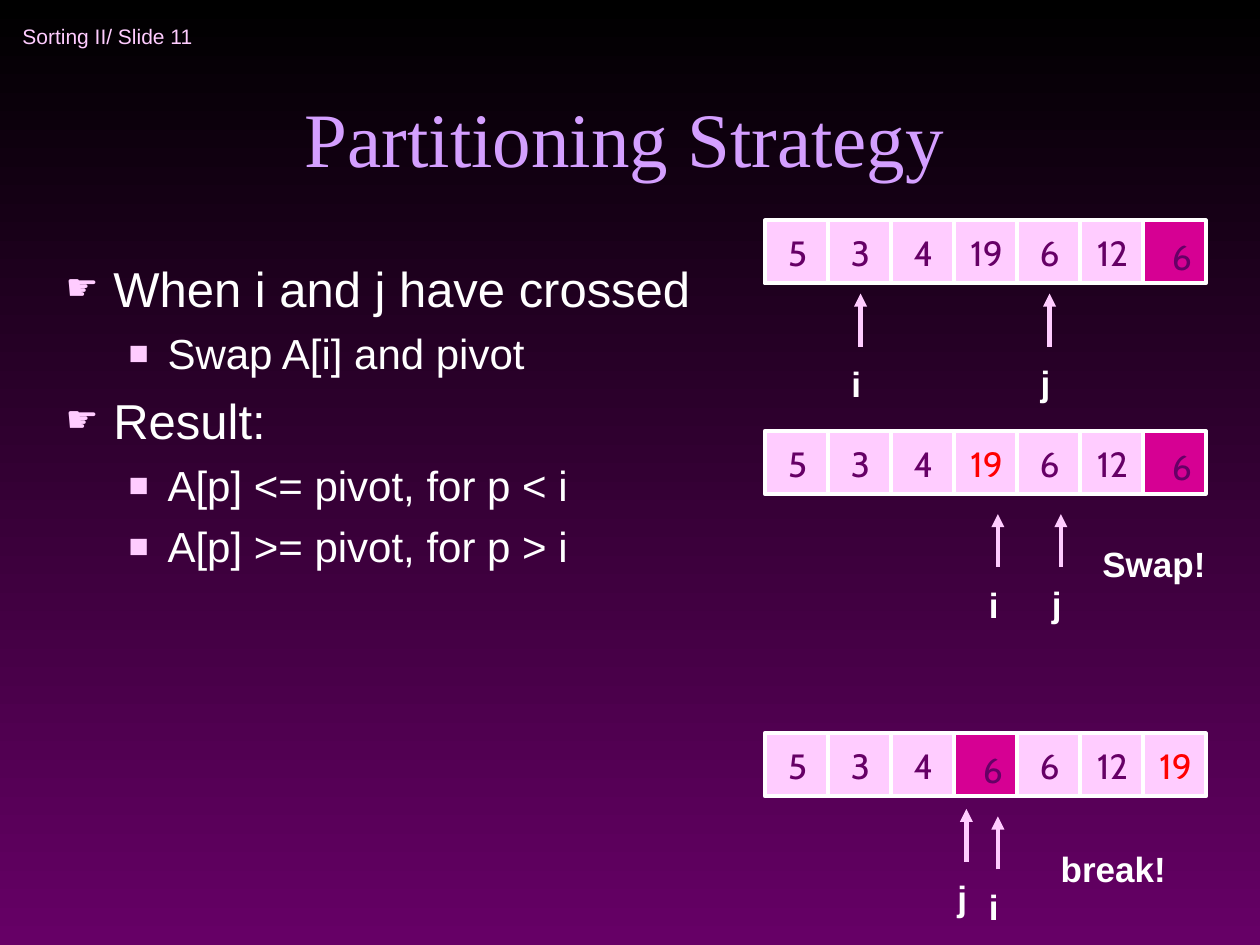
import pptx
import pptx.dml.color
import pptx.enum.shapes
import pptx.enum.text
import pptx.oxml
import pptx.oxml.ns
import pptx.util

Inches = pptx.util.Inches
Pt = pptx.util.Pt
ALIGN = pptx.enum.text.PP_ALIGN
ANCHOR = pptx.enum.text.MSO_ANCHOR
FIT = pptx.enum.text.MSO_AUTO_SIZE

PINK, MAGENTA, PURPLE = "FFCCFF", "D60093", "660066"
LILAC, WHITE, RED, BLACK = "D49FFF", "FFFFFF", "FF0000", "000000"
CELL = 0.5
ARROW = 0.42
ARRAY_LEFT = 6.07

OUTLINE = [
    (0, "When i and j have crossed"),
    (1, "Swap A[i] and pivot"),
    (0, "Result:"),
    (1, "A[p] <= pivot, for p < i"),
    (1, "A[p] >= pivot, for p > i"),
]
LEVELS = [
    {"size": 28, "before": 7, "margin": 0.38, "hang": 0.38, "mark": "☛", "scale": 75},
    {"size": 24, "before": 6, "margin": 0.81, "hang": 0.31, "mark": "■", "scale": 80},
]
STEPS = [
    {"top": 1.75, "values": [5, 3, 4, 19, 6, 12, 6], "pivot": 6, "swapped": None,
     "pointers": [("i", 1.52, 0.58), ("j", 4.52, 0.58)], "note": None},
    {"top": 3.42, "values": [5, 3, 4, 19, 6, 12, 6], "pivot": 6, "swapped": 3,
     "pointers": [("i", 3.7, 0.66), ("j", 4.7, 0.66)], "note": ("Swap!", 8.65, 0.84)},
    {"top": 5.82, "values": [5, 3, 4, 6, 6, 12, 19], "pivot": 3, "swapped": 6,
     "pointers": [("i", 3.7, 0.66), ("j", 3.2, 0.6)], "note": ("break!", 8.32, 0.86)},
]


def colour(value):
    return pptx.dml.color.RGBColor.from_string(value)


def place(shape, box):
    shape.left, shape.top, shape.width, shape.height = map(Inches, box)


def write(paragraph, text, font, size, ink, bold=False, align=ALIGN.LEFT):
    paragraph.alignment = align
    run = paragraph.add_run()
    run.text = text
    run.font.name = font
    run.font.size = Pt(size)
    run.font.bold = bold
    run.font.color.rgb = colour(ink)


def label(slide, box, text, font, size, ink, wrap=False, anchor=ANCHOR.TOP, **style):
    frame = slide.shapes.add_textbox(*map(Inches, box)).text_frame
    frame.word_wrap = wrap
    frame.vertical_anchor = anchor
    write(frame.paragraphs[0], text, font, size, ink, **style)


def add_backdrop(slide):
    fill = slide.background.fill
    fill.gradient()
    fill.gradient_angle = 270
    for stop, position, shade in zip(fill.gradient_stops, (0, 1), (BLACK, PURPLE)):
        stop.position = position
        stop.color.rgb = colour(shade)


def add_heading(slide, box):
    heading = slide.shapes.title
    place(heading, box)
    frame = heading.text_frame
    frame.auto_size = FIT.NONE
    frame.vertical_anchor = ANCHOR.BOTTOM
    write(frame.paragraphs[0], "Partitioning Strategy", "Times New Roman", 44, LILAC,
          align=ALIGN.CENTER)


def add_bullet(paragraph, level):
    properties = paragraph._p.get_or_add_pPr()
    properties.set("marL", str(Inches(level["margin"])))
    properties.set("indent", str(-Inches(level["hang"])))
    namespace = pptx.oxml.ns.nsdecls("a")
    for markup in (
        f'<a:buClr {namespace}><a:srgbClr val="{PINK}"/></a:buClr>',
        f'<a:buSzPct {namespace} val="{level["scale"] * 1000}"/>',
        f'<a:buChar {namespace} char="{level["mark"]}"/>',
    ):
        properties.append(pptx.oxml.parse_xml(markup))


def add_outline(slide, box):
    outline = slide.placeholders[1]
    place(outline, box)
    frame = outline.text_frame
    frame.auto_size = FIT.NONE
    for number, (depth, text) in enumerate(OUTLINE):
        paragraph = frame.add_paragraph() if number else frame.paragraphs[0]
        level = LEVELS[depth]
        add_bullet(paragraph, level)
        paragraph.level = depth
        paragraph.space_before = Pt(level["before"] if number else 0)
        write(paragraph, text, "Arial", level["size"], WHITE)


def add_cell(slide, left, top, value, is_pivot, is_swapped):
    cell = slide.shapes.add_shape(
        pptx.enum.shapes.MSO_SHAPE.RECTANGLE, *map(Inches, (left, top, CELL, CELL)))
    cell.shadow.inherit = False
    cell.fill.solid()
    cell.fill.fore_color.rgb = colour(MAGENTA if is_pivot else PINK)
    cell.line.color.rgb = colour(WHITE)
    cell.line.width = Pt(2.25)
    width = 0.36 if value < 10 else 0.52
    shift, drop = (0.06, 0.07) if is_pivot else (0.01, 0.04)
    label(slide, (left + (CELL - width) / 2 + shift, top + drop, width, 0.44),
          str(value), "Cabin", 20, RED if is_swapped else PURPLE, align=ALIGN.CENTER)


def add_pointer(slide, x, tip, name):
    arrow = slide.shapes.add_connector(
        pptx.enum.shapes.MSO_CONNECTOR.STRAIGHT,
        *map(Inches, (x, tip + ARROW, x, tip)))
    arrow.line.color.rgb = colour(PINK)
    arrow.line.width = Pt(2.5)
    namespace = pptx.oxml.ns.nsdecls("a")
    arrow.line._get_or_add_ln().append(
        pptx.oxml.parse_xml(f'<a:tailEnd {namespace} type="triangle"/>'))
    arrow._element.spPr.append(pptx.oxml.parse_xml(f"<a:effectLst {namespace}/>"))
    width, drop = (0.33, 0.5) if name == "i" else (0.42, 0.49)
    label(slide, (x - 0.17, tip + drop, width, 0.44), name, "Arial", 20, WHITE,
          wrap=True, bold=True)


def add_step(slide, left, step):
    top = step["top"]
    for name, column, drop in step["pointers"]:
        add_pointer(slide, left + column * CELL, top + drop, name)
    for column, value in enumerate(step["values"]):
        add_cell(slide, left + column * CELL, top, value,
                 column == step["pivot"], column == step["swapped"])
    if step["note"]:
        text, note_left, drop = step["note"]
        label(slide, (note_left, top + drop, 1.2, 0.44), text, "Arial", 20, WHITE,
              wrap=True, bold=True)


def main():
    deck = pptx.Presentation()
    deck.slide_width, deck.slide_height = Inches(10), Inches(7.5)
    slide = deck.slides.add_slide(deck.slide_layouts[1])
    add_backdrop(slide)
    label(slide, (0.08, 0.08, 2.75, 0.42), "Sorting II/ Slide 11", "Arial", 12, PINK,
          wrap=True, anchor=ANCHOR.MIDDLE)
    add_heading(slide, (0.67, 0.25, 8.58, 1.25))
    add_outline(slide, (0.42, 2, 5.33, 4.5))
    for step in STEPS:
        add_step(slide, ARRAY_LEFT, step)
    deck.save("out.pptx")


if __name__ == "__main__":
    main()
